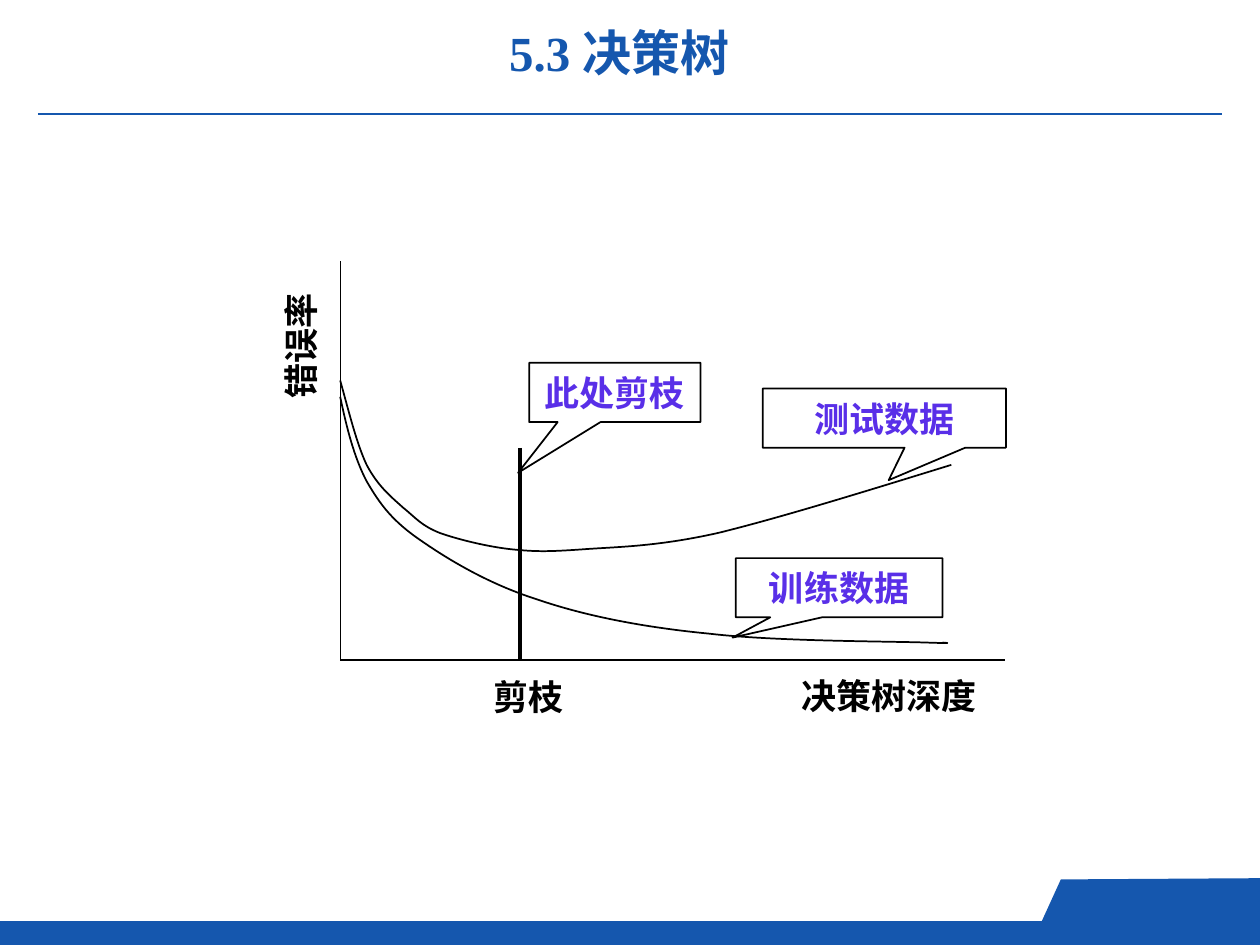
from lxml.etree import SubElement
from pptx import Presentation
from pptx.dml.color import RGBColor
from pptx.enum.shapes import MSO_CONNECTOR, MSO_SHAPE
from pptx.enum.text import MSO_ANCHOR, PP_ALIGN
from pptx.oxml.ns import qn
from pptx.util import Inches, Pt

BLUE = RGBColor(0x15, 0x57, 0xAE)
BLACK = RGBColor(0x00, 0x00, 0x00)
PURPLE = RGBColor(0x59, 0x2F, 0xE8)

presentation = Presentation()
presentation.slide_width = Inches(10)
presentation.slide_height = Inches(7.5)
column = presentation.slide_width // 100
row = presentation.slide_height // 75
slide = presentation.slides.add_slide(presentation.slide_layouts[5])
shapes = slide.shapes


def grid(*lengths):
    return [round(length * (row if index % 2 else column)) for index, length in enumerate(lengths)]


def write(shape, text, color, size=20, name="Calibri", anchor=MSO_ANCHOR.TOP, wrap=True):
    frame = shape.text_frame
    frame.word_wrap = wrap
    frame.vertical_anchor = anchor
    paragraph = frame.paragraphs[0]
    paragraph.text = text
    paragraph.alignment = PP_ALIGN.CENTER
    paragraph.font.color.rgb = color
    for key, value in {"size": Pt(size), "name": name, "bold": True}.items():
        setattr(paragraph.font, key, value)


for top in (70.9, 69.7):
    corners = [(100, top), (84.2, top + 0.1), (82.6, top + 3.6), (100, top + 3.6)]
    builder = shapes.build_freeform(*grid(*corners[0]))
    builder.add_line_segments([grid(*corner) for corner in corners[1:]])
    tab = builder.convert_to_shape()
    tab.shadow.inherit = False
    tab.fill.solid()
    tab.fill.fore_color.rgb = BLUE
    tab.line.fill.background()

footer = shapes.add_shape(MSO_SHAPE.FLOWCHART_PROCESS, *grid(0, 73.1, 100, 1.9))
footer.shadow.inherit = False
footer.fill.solid()
footer.fill.fore_color.rgb = BLUE
footer.line.fill.background()

straight_lines = [
    ((3, 9.06, 97, 9.06), BLUE, 1.5),
    ((27.02, 20.75, 27.02, 52.36), BLACK, 1),
    ((27.02, 52.36, 79.8, 52.36), BLACK, 1),
    ((41.28, 35.54, 41.28, 52.36), BLACK, 2.25),
]
for ends, color, weight in straight_lines:
    line = shapes.add_connector(MSO_CONNECTOR.STRAIGHT, *grid(*ends))
    line.line.color.rgb = color
    line.line.width = Pt(weight)
    SubElement(line._element.spPr, qn("a:effectLst"))

training_curve = [
    (27, 31.5), (27.5, 33.9), (28.1, 36.3), (29.1, 38.2),
    (30.2, 40.1), (31.2, 41.4), (33.4, 42.9),
    (35.7, 44.5), (38.9, 46.4), (42.7, 47.6),
    (46.5, 48.9), (51.1, 49.8), (56.3, 50.3),
    (61.4, 50.9), (70.3, 50.9), (73.4, 51),
    (76.5, 51.1), (74.6, 51), (74.8, 51),
]
test_curve = [
    (27, 30.2), (27.7, 32.7), (28.3, 35.2), (29.1, 36.9),
    (30, 38.6), (31, 39.4), (32, 40.3),
    (33, 41.1), (33.4, 41.7), (34.9, 42.3),
    (36.3, 42.8), (38.7, 43.4), (40.6, 43.6),
    (42.5, 43.8), (43.5, 43.8), (46.3, 43.6),
    (49, 43.4), (52.1, 43.4), (57, 42.3),
    (61.9, 41.1), (68.7, 39), (75.5, 36.9),
]
for controls in (training_curve, test_curve):
    builder = shapes.build_freeform(*grid(*controls[0]))
    builder.add_line_segments([grid(*control) for control in controls[1:]], close=False)
    curve = builder.convert_to_shape()
    outline = next(curve._element.iter(qn("a:path")))
    segments = outline.findall(qn("a:lnTo"))
    for first in range(0, len(segments), 3):
        bend = SubElement(outline, qn("a:cubicBezTo"))
        for segment in segments[first:first + 3]:
            bend.append(segment[0])
            outline.remove(segment)
    curve.shadow.inherit = False
    curve.fill.background()
    curve.line.color.rgb = BLACK
    curve.line.width = Pt(1)

callouts = [
    ("训练数据", (58.4, 44.3, 16.4, 4.7), (-0.516, 0.842)),
    ("测试数据", (60.54, 30.83, 19.3, 4.7), (0.018, 1.049)),
    ("此处剪枝", (42, 28.8, 13.6, 4.7), (-0.565, 1.357)),
]
for text, box, tip in callouts:
    callout = shapes.add_shape(MSO_SHAPE.RECTANGULAR_CALLOUT, *grid(*box))
    callout.adjustments[0], callout.adjustments[1] = tip
    callout.shadow.inherit = False
    callout.fill.background()
    callout.line.color.rgb = BLACK
    callout.line.width = Pt(1)
    write(callout, text, PURPLE, anchor=MSO_ANCHOR.MIDDLE, wrap=False)

labels = [
    ("决策树深度", (61.26, 53.05, 18.6, 4.4), 0, MSO_ANCHOR.TOP),
    ("错误率", (15.8, 25.25, 16.2, 4.4), 270, MSO_ANCHOR.TOP),
    ("剪枝", (37.25, 50.95, 9.4, 6.5), 0, MSO_ANCHOR.BOTTOM),
]
for text, box, rotation, anchor in labels:
    label = shapes.add_textbox(*grid(*box))
    label.rotation = rotation
    write(label, text, BLACK, anchor=anchor)

title = shapes.title
title.left, title.top, title.width, title.height = grid(9, 1.3, 80.3, 5.7)
write(title, "5.3 决策树", BLUE, size=28, name="Times New Roman")

presentation.save("out.pptx")
